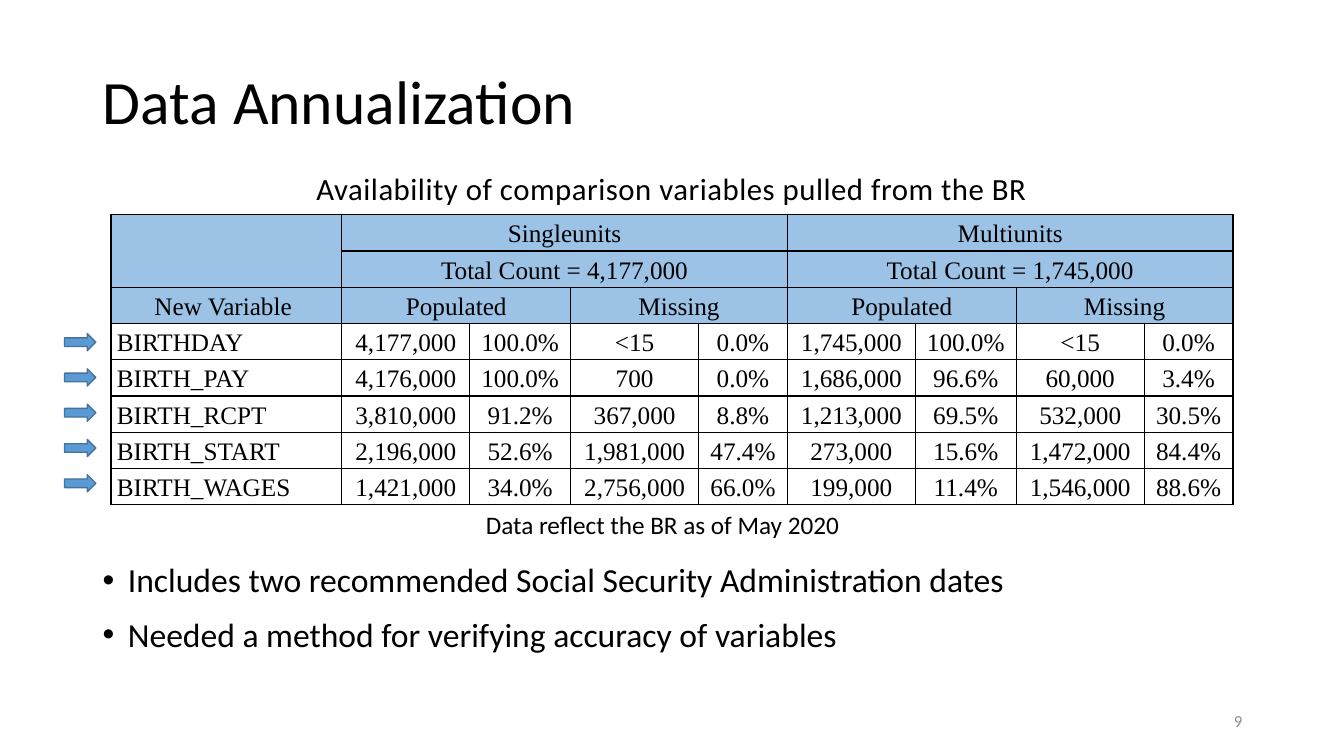
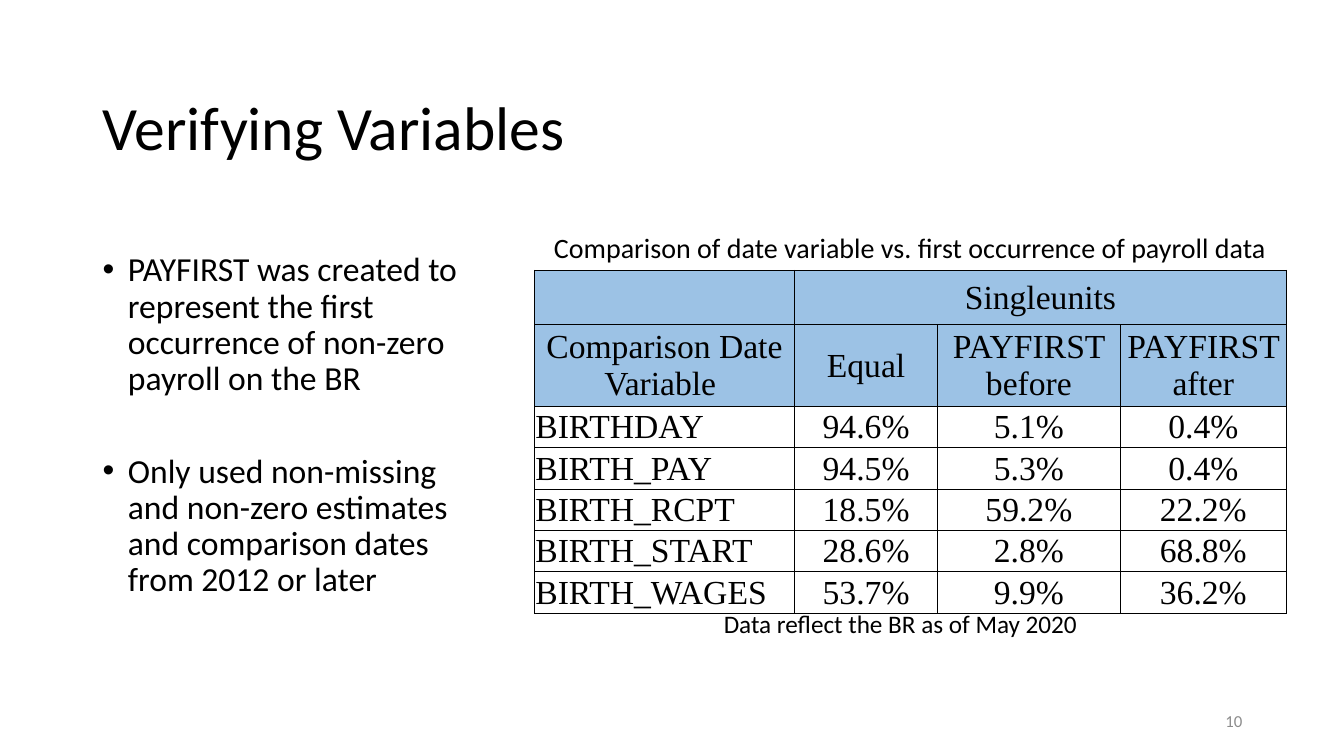
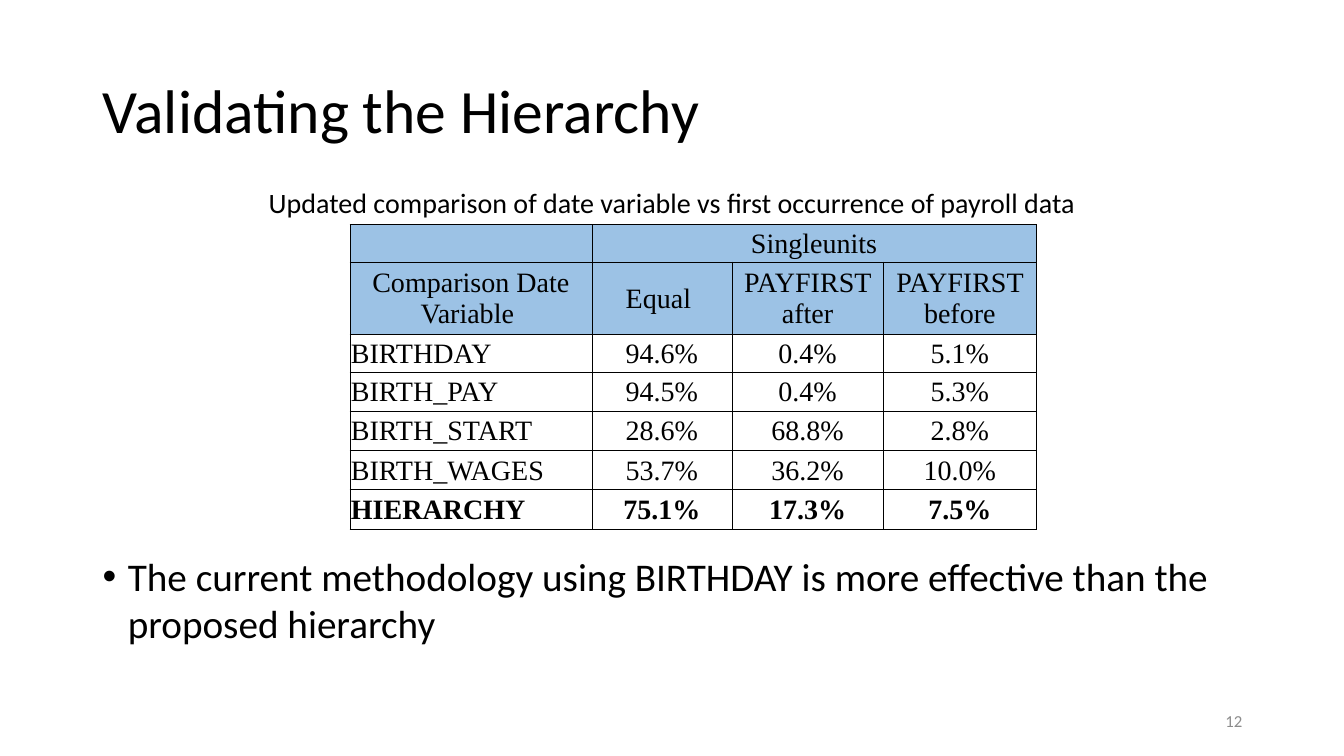
from lxml.etree import SubElement
from pptx import Presentation
from pptx.dml.color import RGBColor
from pptx.enum.shapes import MSO_SHAPE
from pptx.enum.text import MSO_ANCHOR, MSO_AUTO_SIZE, PP_ALIGN
from pptx.oxml.ns import qn
from pptx.util import Inches, Pt

BLACK = "000000"
GREY = "8C8C8C"
HEADER_BLUE = "9CC2E5"
ARROW_BLUE = "5B9BD5"
ARROW_EDGE = "43739E"
BODY_FONT = "Calibri"
TABLE_FONT = "Times New Roman"
SOURCE_NOTE = "Data reflect the BR as of May 2020"
MARGIN_LEFT, CONTENT_WIDTH = 0.92, 11.5
MARGIN_NAMES = ("margin_left", "margin_top", "margin_right", "margin_bottom")

AVAILABILITY = {
    "rows": [
        ("", "Singleunits", "", "", "", "Multiunits", "", "", ""),
        ("", "Total Count = 4,177,000", "", "", "", "Total Count = 1,745,000", "", "", ""),
        ("New Variable ", "Populated", "", "Missing", "", "Populated", "", "Missing", ""),
        ("BIRTHDAY", "4,177,000", "100.0%", "<15", "0.0%", "1,745,000", "100.0%", "<15", "0.0%"),
        ("BIRTH_PAY", "4,176,000", "100.0%", "700", "0.0%", "1,686,000", "96.6%", "60,000", "3.4%"),
        ("BIRTH_RCPT", "3,810,000", "91.2%", "367,000", "8.8%", "1,213,000", "69.5%", "532,000", "30.5%"),
        ("BIRTH_START", "2,196,000", "52.6%", "1,981,000", "47.4%", "273,000", "15.6%", "1,472,000", "84.4%"),
        ("BIRTH_WAGES", "1,421,000", "34.0%", "2,756,000", "66.0%", "199,000", "11.4%", "1,546,000", "88.6%"),
    ],
    "widths": [2.29] + [1.27, 1, 1.27, 0.88] * 2,
    "heights": [0.36] * 8,
    "merges": [(0, 0, 1, 0)]
    + [(row, column, row, column + 3) for row in (0, 1) for column in (1, 5)]
    + [(2, column, 2, column + 1) for column in (1, 3, 5, 7)],
    "header_rows": 3,
    "size": 18,
    "margins": (0.06, 0, 0.06, 0),
    "line_spacing": 1.1,
    "border": 1,
}

COMPARISON_STYLE = {
    "merges": [(0, 1, 0, 3)],
    "header_rows": 2,
    "margins": (0.01, 0.01, 0.01, 0),
    "line_spacing": 1.0,
    "border": 0.5,
}

VERIFICATION = COMPARISON_STYLE | {
    "rows": [
        ("", "Singleunits", "", ""),
        ("Comparison Date Variable ", "Equal", "PAYFIRST before", "PAYFIRST after"),
        ("BIRTHDAY", "94.6%", "5.1%", "0.4%"),
        ("BIRTH_PAY", "94.5%", "5.3%", "0.4%"),
        ("BIRTH_RCPT", "18.5%", "59.2%", "22.2%"),
        ("BIRTH_START", "28.6%", "2.8%", "68.8%"),
        ("BIRTH_WAGES", "53.7%", "9.9%", "36.2%"),
    ],
    "widths": [2.58, 1.42, 1.81, 1.65],
    "heights": [0.54, 0.81] + [0.41] * 5,
    "size": 24,
}

HIERARCHY = COMPARISON_STYLE | {
    "rows": [
        ("", "Singleunits", "", ""),
        ("Comparison Date Variable ", "Equal ", "PAYFIRST after", "PAYFIRST before"),
        ("BIRTHDAY", "94.6%", "0.4%", "5.1%"),
        ("BIRTH_PAY", "94.5%", "0.4%", "5.3%"),
        ("BIRTH_START", "28.6%", "68.8%", "2.8%"),
        ("BIRTH_WAGES", "53.7%", "36.2%", "10.0%"),
        ("HIERARCHY", "75.1%", "17.3%", "7.5%"),
    ],
    "widths": [2.4, 1.39, 1.5, 1.52],
    "heights": [0.37, 0.72, 0.37] + [0.39] * 4,
    "size": 20,
    "bold_row": 6,
}


def color(hex_value):
    return RGBColor.from_string(hex_value)


def set_attributes(target, values):
    for name, value in values.items():
        setattr(target, name, value)


def place(shape, left, top, width, height):
    values = {"left": left, "top": top, "width": width, "height": height}
    set_attributes(shape, {name: Inches(value) for name, value in values.items()})


def write(paragraph, text, size, font=BODY_FONT, ink=BLACK, bold=False, **layout):
    run = paragraph.add_run()
    run.text = text
    set_attributes(run.font, {"name": font, "size": Pt(size), "bold": bold})
    run.font.color.rgb = color(ink)
    set_attributes(paragraph, {"alignment": PP_ALIGN.LEFT} | layout)
    return run


def add_title_slide(presentation, title, top, height, number):
    slide = presentation.slides.add_slide(presentation.slide_layouts[5])
    shape = slide.shapes.title
    place(shape, MARGIN_LEFT, top, CONTENT_WIDTH, height)
    frame_format = {"vertical_anchor": MSO_ANCHOR.MIDDLE, "auto_size": MSO_AUTO_SIZE.NONE, "word_wrap": True}
    set_attributes(shape.text_frame, frame_format)
    write(shape.text_frame.paragraphs[0], title, 44, line_spacing=0.9)
    add_text(slide, (9.42, 6.95, 3, 0.4), number, 12, MSO_ANCHOR.MIDDLE,
             ink=GREY, alignment=PP_ALIGN.RIGHT)
    return slide


def add_text_frame(slide, box, anchor=MSO_ANCHOR.TOP):
    frame = slide.shapes.add_textbox(*map(Inches, box)).text_frame
    set_attributes(frame, {"word_wrap": True, "vertical_anchor": anchor})
    return frame


def add_text(slide, box, text, size, anchor=MSO_ANCHOR.TOP, **text_format):
    return write(add_text_frame(slide, box, anchor).paragraphs[0], text, size, **text_format)


def add_bullets(slide, box, items, size, space_before=10, line_spacing=1.0):
    frame = add_text_frame(slide, box)
    for index, item in enumerate(items):
        paragraph = frame.add_paragraph() if index else frame.paragraphs[0]
        write(paragraph, item, size, line_spacing=line_spacing,
              space_before=Pt(space_before if index else 0))
        properties = paragraph._p.get_or_add_pPr()
        properties.set("marL", str(Inches(0.25)))
        properties.set("indent", str(-Inches(0.25)))
        SubElement(properties, qn("a:buFont"), typeface="Arial")
        SubElement(properties, qn("a:buChar"), char="•")


def set_borders(cell, width):
    properties = cell._tc.get_or_add_tcPr()
    for position, side in enumerate(("lnL", "lnR", "lnT", "lnB")):
        line = SubElement(properties, qn(f"a:{side}"), w=str(Pt(width)))
        fill = SubElement(line, qn("a:solidFill"))
        SubElement(fill, qn("a:srgbClr"), val=BLACK)
        properties.insert(position, line)


def format_cell(cell, text, is_header, centered, bold, design):
    set_attributes(cell, dict(zip(MARGIN_NAMES, map(Inches, design["margins"]))))
    cell.vertical_anchor = MSO_ANCHOR.MIDDLE
    if is_header:
        cell.fill.solid()
        cell.fill.fore_color.rgb = color(HEADER_BLUE)
    else:
        cell.fill.background()
    set_borders(cell, design["border"])
    if text:
        write(cell.text_frame.paragraphs[0], text, design["size"], TABLE_FONT, bold=bold,
              alignment=PP_ALIGN.CENTER if centered else PP_ALIGN.LEFT,
              line_spacing=design["line_spacing"])


def add_data_table(slide, left, top, design):
    rows, widths, heights = design["rows"], design["widths"], design["heights"]
    box = (left, top, sum(widths), sum(heights))
    table = slide.shapes.add_table(len(rows), len(widths), *map(Inches, box)).table
    set_attributes(table, {"first_row": False, "horz_banding": False})
    for column, width in zip(table.columns, widths):
        column.width = Inches(width)
    for row, height in zip(table.rows, heights):
        row.height = Inches(height)
    for first_row, first_column, last_row, last_column in design["merges"]:
        table.cell(first_row, first_column).merge(table.cell(last_row, last_column))
    for row_index, row in enumerate(rows):
        is_header = row_index < design["header_rows"]
        bold = row_index == design.get("bold_row")
        for column_index, text in enumerate(row):
            format_cell(table.cell(row_index, column_index), text, is_header,
                        is_header or column_index > 0, bold, design)


def add_row_arrow(slide, top):
    box = (0.64, top, 0.31, 0.17)
    arrow = slide.shapes.add_shape(MSO_SHAPE.RIGHT_ARROW, *map(Inches, box))
    arrow.shadow.inherit = False
    arrow.fill.solid()
    arrow.fill.fore_color.rgb = color(ARROW_BLUE)
    arrow.line.color.rgb = color(ARROW_EDGE)
    arrow.line.width = Pt(1)


def build_annualization(presentation):
    slide = add_title_slide(presentation, "Data Annualization", 0.4, 1.27, "9")
    add_bullets(slide, (MARGIN_LEFT, 5.5, CONTENT_WIDTH, 1.45), [
        "Includes two recommended Social Security Administration dates",
        "Needed a method for verifying accuracy of variables",
    ], 24)
    add_data_table(slide, 1.1, 2.13, AVAILABILITY)
    caption = add_text(slide, (2.99, 1.63, 7.35, 0.41),
                       "Availability of comparison variables pulled from the BR", 22,
                       alignment=PP_ALIGN.CENTER)
    caption.font._element.set("spc", "40")
    add_text(slide, (4.72, 5, 3.89, 0.4), SOURCE_NOTE, 18)
    for index in range(5):
        add_row_arrow(slide, 3.31 + 0.35 * index)


def build_verification(presentation):
    slide = add_title_slide(presentation, "Verifying Variables", 0.57, 1.45, "10")
    add_bullets(slide, (MARGIN_LEFT, 2.46, 3.99, 3.73), [
        "PAYFIRST was created to represent the first occurrence of non-zero payroll on the BR",
        "Only used non-missing and non-zero estimates and comparison dates from 2012 or later",
    ], 24, space_before=40, line_spacing=0.9)
    add_data_table(slide, 5.3, 2.68, VERIFICATION)
    add_text(slide, (5.14, 2.24, 7.77, 0.44),
             "Comparison of date variable vs. first occurrence of payroll data", 20,
             alignment=PP_ALIGN.CENTER)
    add_text(slide, (7.08, 5.99, 3.89, 0.4), SOURCE_NOTE, 18)


def build_hierarchy(presentation):
    slide = add_title_slide(presentation, "Validating the Hierarchy", 0.4, 1.45, "12")
    add_bullets(slide, (MARGIN_LEFT, 5.43, CONTENT_WIDTH, 1.19), [
        "The current methodology using BIRTHDAY is more effective than the proposed hierarchy",
    ], 28)
    add_data_table(slide, 3.47, 2.23, HIERARCHY)
    add_text(slide, (2.38, 1.79, 8.57, 0.44),
             "Updated comparison of date variable vs first occurrence of payroll data", 20,
             alignment=PP_ALIGN.CENTER)


def main():
    presentation = Presentation()
    set_attributes(presentation, {"slide_width": Inches(13.33), "slide_height": Inches(7.5)})
    build_annualization(presentation)
    build_verification(presentation)
    build_hierarchy(presentation)
    presentation.save("out.pptx")


if __name__ == "__main__":
    main()
